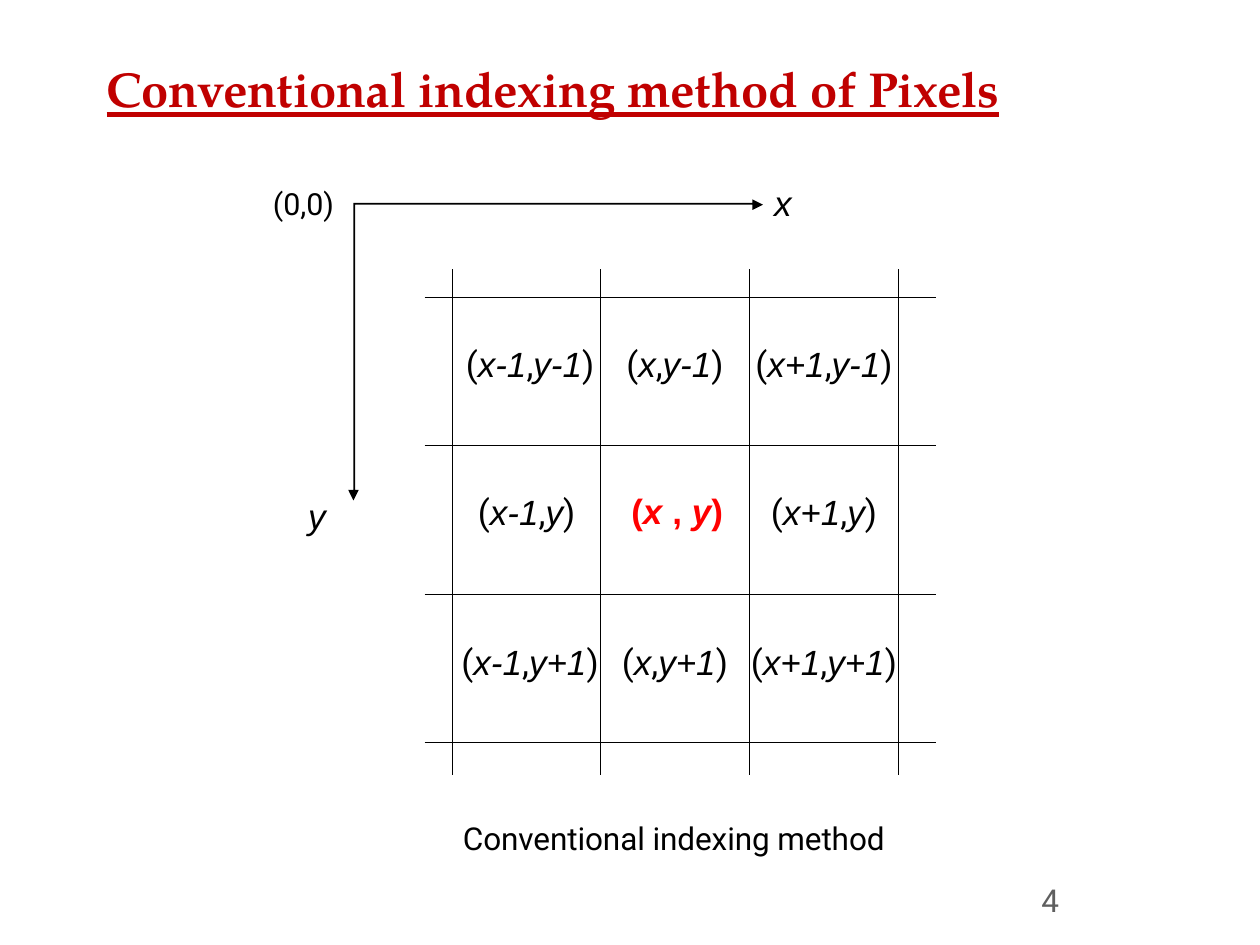
from lxml import etree
from pptx import Presentation
from pptx import util as u
from pptx.dml.color import RGBColor
from pptx.enum import shapes, text
from pptx.oxml import ns

Pt = u.Pt
BLACK = RGBColor(0, 0, 0)
DARK_RED = RGBColor(0xC0, 0, 0)
RED = RGBColor(0xFF, 0, 0)
GRAY = RGBColor(0x5F, 0x5F, 0x5F)
TITLE_FONT, BODY_FONT, SYMBOL_FONT = "TeX Gyre Pagella", "Roboto", "Arial"


def add_xml(parent, tag, **attributes):
    return etree.SubElement(parent, ns.qn(tag), attributes)


class SlideBuilder:
    line_width = 0.75
    symbol_size = 20

    def __init__(self, slide):
        self.slide = slide

    def style(self, run, font, size, color=BLACK, bold=False, italic=False):
        run.font.name, run.font.size = font, Pt(size)
        run.font.bold, run.font.italic = bold, italic
        run.font.color.rgb = color

    def textbox(self, left, top, width, height, content, font, size,
                color=BLACK, bold=False, italic=False, spacing=0):
        shape = self.slide.shapes.add_textbox(Pt(left), Pt(top), Pt(width), Pt(height))
        frame = shape.text_frame
        frame.word_wrap = True
        frame.margin_right = frame.margin_bottom = 0
        frame.margin_left, frame.margin_top = Pt(0.7), Pt(1)
        frame.text = content
        paragraph = frame.paragraphs[0]
        run = paragraph.runs[0]
        self.style(run, font, size, color, bold, italic)
        if spacing:
            run.font._element.set("spc", str(round(spacing * 100)))
        return paragraph

    def axes(self, x, y, length_x, length_y):
        """Two solid arrows, right and down, that share one origin."""
        half, head, wing = 0.7, 5.8, 2.9

        def outline(length):
            neck = length - head
            return [(0, -half), (neck, -half), (neck, -wing), (length, 0),
                    (neck, wing), (neck, half), (0, half)]

        across = [(x + a, y + b) for a, b in outline(length_x)]
        down = [(x + b, y + a) for a, b in outline(length_y)]
        builder = self.slide.shapes.build_freeform(*down[0], scale=float(Pt(1)))
        builder.add_line_segments(down[1:], close=True)
        builder.move_to(*across[0])
        builder.add_line_segments(across[1:], close=True)
        shape = builder.convert_to_shape()
        shape.shadow.inherit = False
        shape.fill.solid()
        shape.fill.fore_color.rgb = BLACK
        shape.line.fill.background()

    def grid(self, left, top, widths, heights):
        """Table with inner lines only, open at the outer edge."""
        frame = self.slide.shapes.add_table(
            len(heights), len(widths), Pt(left), Pt(top), Pt(sum(widths)), Pt(sum(heights)))
        table = frame.table
        table.first_row = table.horz_banding = False
        for column, width in zip(table.columns, widths):
            column.width = Pt(width)
        for row, height in zip(table.rows, heights):
            row.height = Pt(height)
        last_row, last_column = len(heights) - 1, len(widths) - 1
        for r in range(len(heights)):
            for c in range(len(widths)):
                cell = table.cell(r, c)
                cell.margin_left = cell.margin_right = 0
                cell.margin_top = cell.margin_bottom = 0
                inner = {"L": c > 0, "R": c < last_column, "T": r > 0, "B": r < last_row}
                self.borders(cell, [side for side in inner if inner[side]])
                # Small end mark keeps the narrow outer rows low
                end = cell.text_frame.paragraphs[0]._p.get_or_add_endParaRPr()
                end.set("sz", "600")
        return table

    def borders(self, cell, sides):
        properties = cell._tc.get_or_add_tcPr()
        for side in sides:
            line = add_xml(properties, f"a:ln{side}", w=str(Pt(self.line_width)))
            fill = add_xml(line, "a:solidFill")
            add_xml(fill, "a:srgbClr", val=str(BLACK))
        cell.fill.background()

    def coordinate(self, cell, x, y, center=False):
        """Write (x,y) with upright marks and italic symbols."""
        paragraph = cell.text_frame.paragraphs[0]
        paragraph.alignment = text.PP_ALIGN.CENTER
        parts = ["(", x + " ", ", ", y, ")"] if center else ["(", x, ",", y, ")"]
        for index, part in enumerate(parts):
            run = paragraph.add_run()
            run.text = part
            symbol = index % 2 == 1
            self.style(run, SYMBOL_FONT if symbol or center else BODY_FONT,
                       self.symbol_size, RED if center else BLACK, center, symbol)


def main():
    presentation = Presentation()
    presentation.slide_width, presentation.slide_height = Pt(720), Pt(540)
    slide = presentation.slides.add_slide(presentation.slide_layouts[6])
    builder = SlideBuilder(slide)

    # Title
    title = builder.textbox(60.2, 32.4, 533, 35.3, "Conventional indexing method of Pixels",
                            TITLE_FONT, 28, DARK_RED, bold=True, spacing=-0.1)
    title.runs[0].font.underline = text.MSO_UNDERLINE.HEAVY_LINE

    # Axes from the origin
    builder.axes(202.3, 116.7, 233.5, 169.3)
    builder.textbox(175.3, 281.3, 12.5, 26, "y", SYMBOL_FONT, 20, italic=True)
    origin = builder.textbox(155.2, 92.5, 297.5, 26, "(0,0)\t", BODY_FONT, 30)
    origin.runs[0].font._element.set("baseline", "1000")
    x_label = origin.add_run()
    x_label.text = "x"
    builder.style(x_label, SYMBOL_FONT, 20, italic=True)
    tabs = add_xml(origin._p.get_or_add_pPr(), "a:tabLst")
    add_xml(tabs, "a:tab", pos=str(Pt(286.5)), algn="l")

    # Pixel neighbourhood
    table = builder.grid(243, 154.4, [15.5, 84.8, 84.8, 85.5, 20.8],
                         [15.6, 84.8, 84.8, 84.8, 18.7])
    offsets = ["-1", "", "+1"]
    text_tops = [27, 27, 28]
    left_margins = {(1, 1): 4, (3, 1): 4, (2, 2): 2.5}
    for r, dy in enumerate(offsets, 1):
        for c, dx in enumerate(offsets, 1):
            cell = table.cell(r, c)
            cell.margin_top = Pt(text_tops[r - 1])
            cell.margin_left = Pt(left_margins.get((r, c), 0))
            builder.coordinate(cell, "x" + dx, "y" + dy, center=(r == c == 2))

    # Caption and page number
    builder.textbox(263.8, 466.8, 250, 23, "Conventional indexing method",
                    BODY_FONT, 18, spacing=-0.05)
    builder.textbox(594.4, 502.6, 12.5, 24, "4", BODY_FONT, 18, GRAY)

    presentation.save("out.pptx")


if __name__ == "__main__":
    main()
